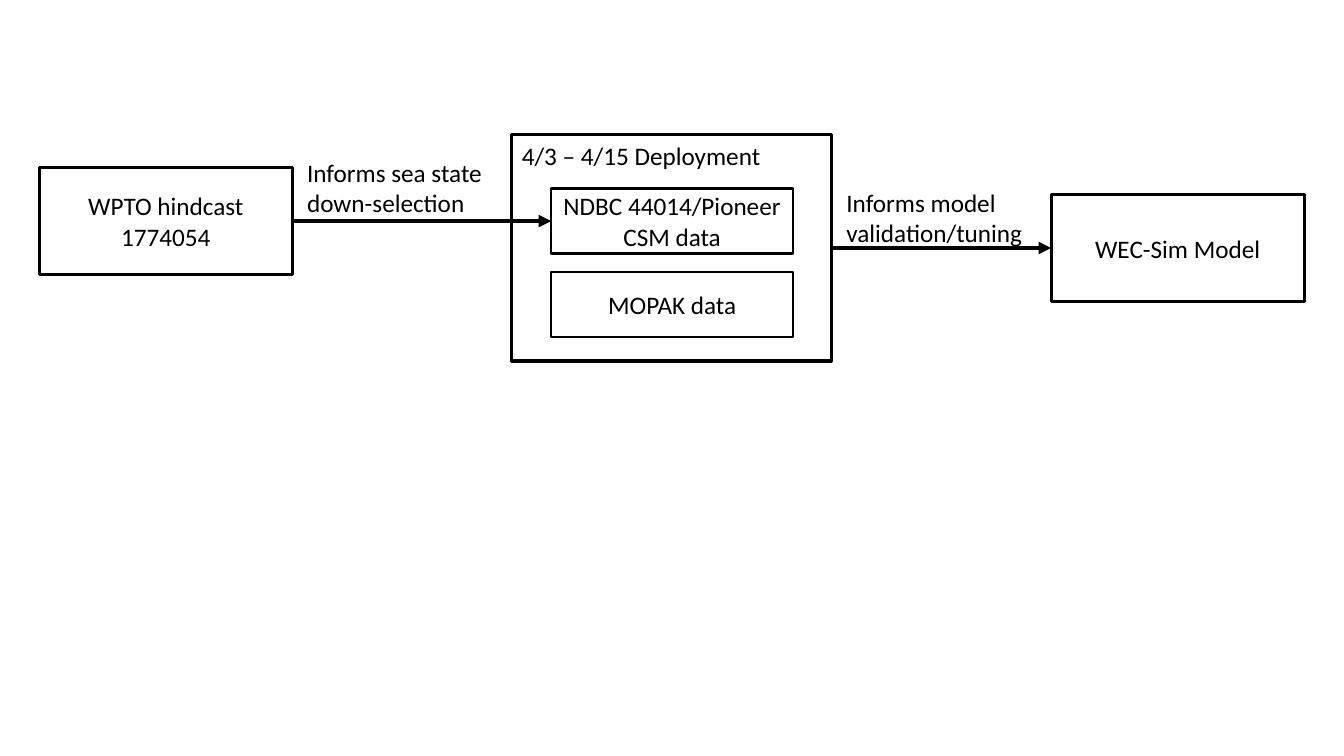
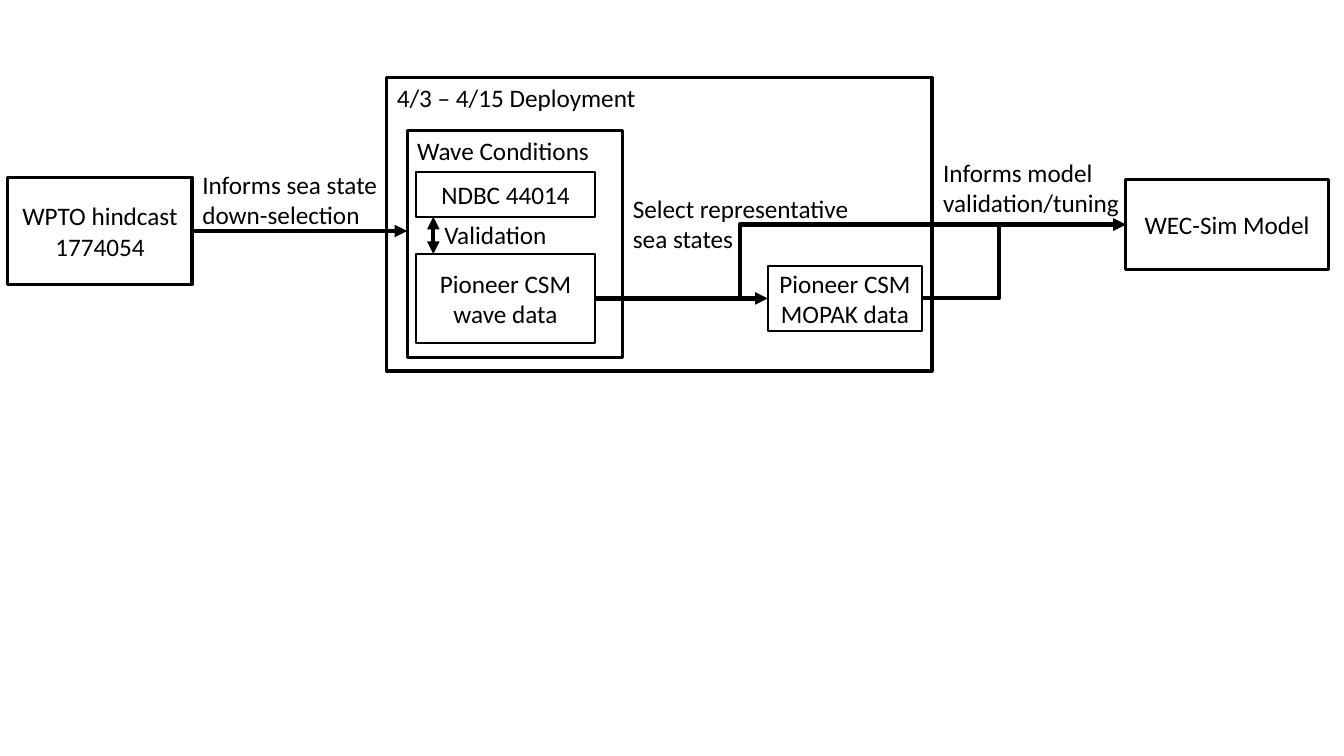
from dataclasses import dataclass

from lxml import etree
from pptx import Presentation
from pptx import util as u
from pptx.dml.color import RGBColor
from pptx.enum import shapes, text
from pptx.oxml.ns import qn
from pptx.shapes.autoshape import Shape
from pptx.shapes.connector import Connector
from pptx.slide import Slide
from pptx.text.text import TextFrame

# Shared style
BLACK = RGBColor(0x00, 0x00, 0x00)
WHITE = RGBColor(0xFF, 0xFF, 0xFF)
FONT = "Calibri"
FONT_SIZE = u.Pt(18)
OUTER_LINE = u.Pt(2.25)
INNER_LINE = u.Pt(1.5)
ARROW_LINE = u.Pt(3)
LEFT, RIGHT = 1, 3  # connection sites of a rectangle

# Wording used on both slides
DEPLOYMENT = "4/3 – 4/15 Deployment"
HINDCAST = "WPTO hindcast 1774054"
MODEL = "WEC-Sim Model"
INFORMS_SELECTION = "Informs sea state down-selection"
INFORMS_MODEL = "Informs model validation/tuning"


@dataclass
class Area:
    """A rectangle measured in centimetres."""
    left: float
    top: float
    width: float
    height: float

    def lengths(self) -> tuple[u.Cm, ...]:
        return tuple(u.Cm(v) for v in (self.left, self.top, self.width, self.height))


@dataclass
class Box:
    """An outlined rectangle; a frame has its heading at the top left."""
    area: Area
    caption: str
    line: u.Pt = OUTER_LINE
    frame: bool = False
    filled: bool = True


@dataclass
class Label:
    area: Area
    caption: str


@dataclass
class Point:
    x: float
    y: float


def write_text(text_frame: TextFrame, caption: str, centred: bool) -> None:
    text_frame.word_wrap = True
    text_frame.vertical_anchor = text.MSO_ANCHOR.MIDDLE if centred else text.MSO_ANCHOR.TOP
    paragraph = text_frame.paragraphs[0]
    paragraph.text = caption
    paragraph.alignment = text.PP_ALIGN.CENTER if centred else text.PP_ALIGN.LEFT
    paragraph.font.name = FONT
    paragraph.font.size = FONT_SIZE
    paragraph.font.color.rgb = BLACK


def draw_box(slide: Slide, box: Box) -> Shape:
    shape = slide.shapes.add_shape(shapes.MSO_SHAPE.RECTANGLE, *box.area.lengths())
    shape.shadow.inherit = False
    if box.filled:
        shape.fill.solid()
        shape.fill.fore_color.rgb = WHITE
    else:
        shape.fill.background()
    shape.line.color.rgb = BLACK
    shape.line.width = box.line
    write_text(shape.text_frame, box.caption, centred=not box.frame)
    return shape


def draw_labels(slide: Slide, labels: list[Label]) -> None:
    for label in labels:
        shape = slide.shapes.add_textbox(*label.area.lengths())
        write_text(shape.text_frame, label.caption, centred=False)


def draw_arrow(slide: Slide, start: Point, end: Point,
               bend: float | None = None, double: bool = False) -> Connector:
    """Draw a straight arrow, or an elbow turning at the share `bend` of its width."""
    kind = shapes.MSO_CONNECTOR.STRAIGHT if bend is None else shapes.MSO_CONNECTOR.ELBOW
    connector = slide.shapes.add_connector(
        kind, u.Cm(start.x), u.Cm(start.y), u.Cm(end.x), u.Cm(end.y))
    connector.line.color.rgb = BLACK
    connector.line.width = ARROW_LINE
    properties = connector._element.spPr
    line = properties.find(qn("a:ln"))
    for tag in ("a:headEnd", "a:tailEnd") if double else ("a:tailEnd",):
        etree.SubElement(line, qn(tag), type="triangle")
    etree.SubElement(properties, qn("a:effectLst"))
    if bend is not None:
        geometry = properties.find(qn("a:prstGeom"))
        adjustments = geometry.find(qn("a:avLst"))
        if adjustments is None:
            adjustments = etree.SubElement(geometry, qn("a:avLst"))
        etree.SubElement(adjustments, qn("a:gd"), name="adj1",
                         fmla=f"val {round(bend * 100000)}")
    return connector


def right_of(area: Area) -> Point:
    return Point(area.left + area.width, area.top + area.height / 2)


def left_of(area: Area) -> Point:
    return Point(area.left, area.top + area.height / 2)


def join_boxes(slide: Slide, first: Box, first_shape: Shape,
               second: Box, second_shape: Shape) -> None:
    connector = draw_arrow(slide, right_of(first.area), left_of(second.area))
    connector.begin_connect(first_shape, RIGHT)
    connector.end_connect(second_shape, LEFT)


def build_overview(slide: Slide) -> None:
    # Boxes
    deployment = Box(Area(12.9, 3.4, 8.05, 5.7), DEPLOYMENT, frame=True)
    hindcast = Box(Area(0.99, 4.22, 6.38, 2.7), HINDCAST)
    wave_data = Box(Area(13.89, 4.75, 6.1, 1.64), "NDBC 44014/Pioneer CSM data", INNER_LINE)
    mopak = Box(Area(13.89, 6.86, 6.1, 1.64), "MOPAK data", INNER_LINE)
    model = Box(Area(26.49, 4.9, 6.38, 2.7), MODEL)
    deployment_shape, hindcast_shape, wave_shape, _, model_shape = [
        draw_box(slide, box) for box in (deployment, hindcast, wave_data, mopak, model)]

    # Arrows and their labels
    join_boxes(slide, hindcast, hindcast_shape, wave_data, wave_shape)
    join_boxes(slide, deployment, deployment_shape, model, model_shape)
    draw_labels(slide, [
        Label(Area(7.49, 3.84, 5.54, 1.8), INFORMS_SELECTION),
        Label(Area(21.08, 4.6, 5.54, 1.8), INFORMS_MODEL),
    ])


def build_detail(slide: Slide) -> None:
    # Boxes
    deployment = Box(Area(9.75, 1.96, 13.74, 7.39), DEPLOYMENT, frame=True)
    hindcast = Box(Area(0.2, 4.47, 4.64, 2.7), HINDCAST)
    buoy = Box(Area(10.49, 4.34, 4.5, 1.12), "NDBC 44014", INNER_LINE)
    mopak = Box(Area(19.35, 6.7, 3.89, 1.64), "Pioneer CSM MOPAK data", INNER_LINE)
    model = Box(Area(28.37, 4.53, 5.11, 2.26), MODEL)
    wave_data = Box(Area(10.49, 6.4, 4.5, 2.24), "Pioneer CSM wave data", INNER_LINE)
    conditions = Box(Area(10.26, 3.28, 5.44, 5.74), "Wave Conditions",
                     frame=True, filled=False)
    _, hindcast_shape, _, mopak_shape, _, wave_shape, _ = [
        draw_box(slide, box)
        for box in (deployment, hindcast, buoy, mopak, model, wave_data, conditions)]

    # Straight arrows
    selection_start = right_of(hindcast.area)
    selection = draw_arrow(slide, selection_start,
                           Point(conditions.area.left, selection_start.y))
    selection.begin_connect(hindcast_shape, RIGHT)
    join_boxes(slide, wave_data, wave_shape, mopak, mopak_shape)
    validation_x = 10.92
    draw_arrow(slide, Point(validation_x, buoy.area.top + buoy.area.height),
               Point(validation_x, wave_data.area.top), double=True)

    # Elbow arrows into the model
    model_entry = left_of(model.area)
    draw_arrow(slide, Point(15.77, right_of(wave_data.area).y), model_entry, bend=0.228)
    draw_arrow(slide, right_of(mopak.area), model_entry, bend=0.376)

    # Labels
    draw_labels(slide, [
        Label(Area(4.85, 4.14, 5.51, 1.8), INFORMS_SELECTION),
        Label(Area(23.52, 3.84, 5.54, 1.8), INFORMS_MODEL),
        Label(Area(15.7, 4.75, 6.17, 1.8), "Select representative sea states"),
        Label(Area(10.95, 5.41, 4.5, 1.02), "Validation"),
    ])


def main() -> None:
    presentation = Presentation()
    presentation.slide_width = u.Cm(33.87)
    presentation.slide_height = u.Cm(19.05)
    blank_layout = presentation.slide_layouts[6]
    for build in (build_overview, build_detail):
        build(presentation.slides.add_slide(blank_layout))
    presentation.save("out.pptx")


if __name__ == "__main__":
    main()
